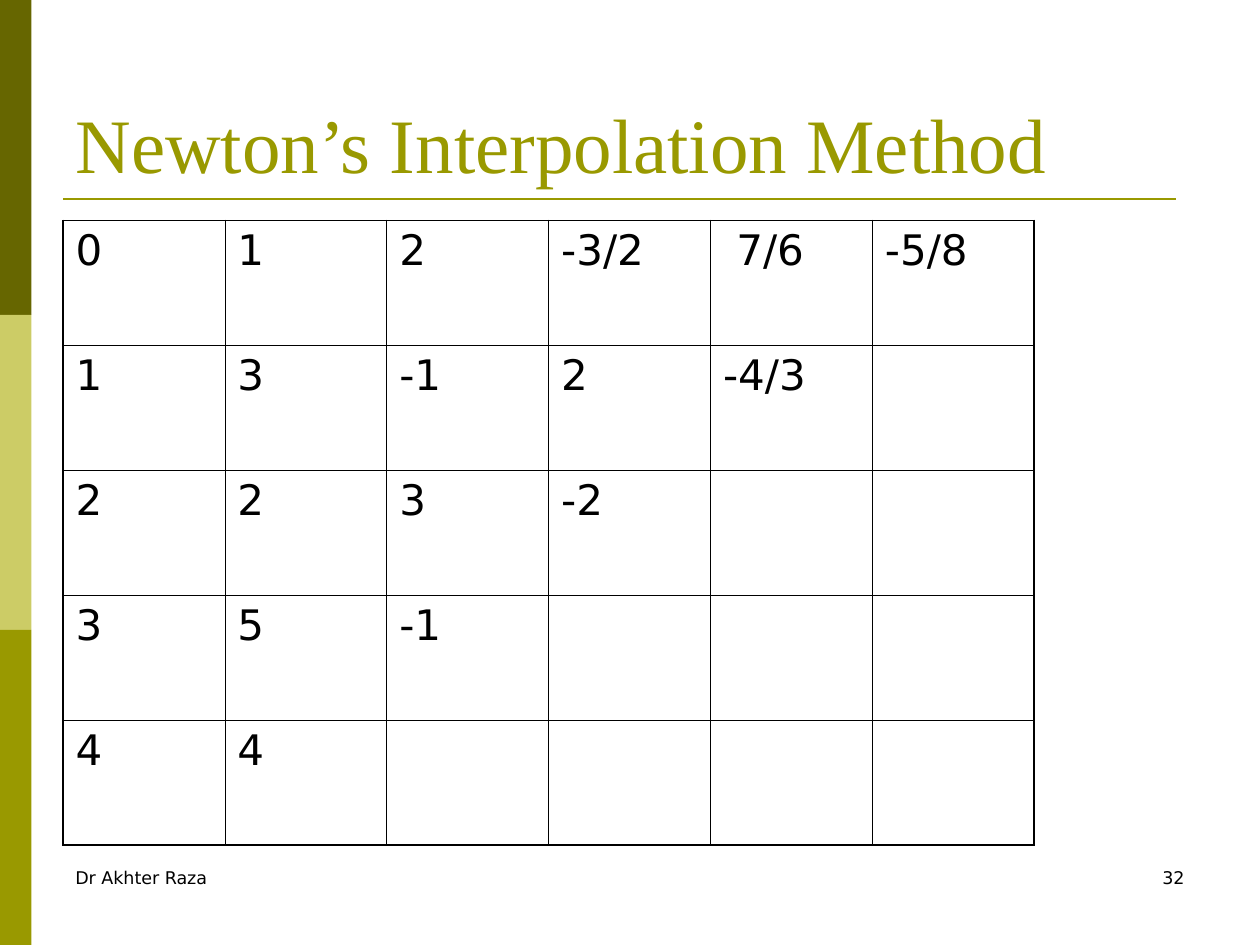
from lxml import etree
from pptx import Presentation
from pptx.dml.color import RGBColor
from pptx.enum import shapes, text
from pptx.oxml.ns import qn
from pptx.util import Inches, Pt

BLACK = RGBColor(0x00, 0x00, 0x00)
DARK = RGBColor(0x66, 0x66, 0x00)
PALE = RGBColor(0xCC, 0xCC, 0x66)
OLIVE = RGBColor(0x99, 0x99, 0x00)

SANS = "DejaVu Sans"
SERIF = "Times New Roman"
THIN, THICK = 0.45, 1.08

ROWS = [
    ["0", "1", "2", "-3/2", " 7/6", "-5/8"],
    ["1", "3", "-1", "2", "-4/3"],
    ["2", "2", "3", "-2"],
    ["3", "5", "-1"],
    ["4", "4"],
]
COLS = 6


def put_text(frame, words, size=10, font=SANS, color=BLACK,
             align=text.PP_ALIGN.LEFT, before=0):
    para = frame.paragraphs[0]
    para.alignment = align
    para.space_before = Pt(before)
    run = para.add_run()
    run.text = words
    run.font.size = Pt(size)
    run.font.name = font
    run.font.color.rgb = color


def add_title(slide, words):
    title = slide.shapes.title
    title.left, title.top = Inches(0.5), Inches(0.3)
    title.width, title.height = Inches(9), Inches(1.25)
    frame = title.text_frame
    frame.auto_size = text.MSO_AUTO_SIZE.NONE
    frame.vertical_anchor = text.MSO_ANCHOR.BOTTOM
    put_text(frame, words, size=44, font=SERIF, color=OLIVE)


def add_band(slide, top, color):
    band = slide.shapes.add_shape(shapes.MSO_SHAPE.RECTANGLE, 0, Inches(top),
                                  Inches(0.25), Inches(2.5))
    band.shadow.inherit = False
    band.fill.solid()
    band.fill.fore_color.rgb = color
    band.line.fill.background()


def add_rule(slide):
    y = Inches(1.58)
    rule = slide.shapes.add_connector(shapes.MSO_CONNECTOR.STRAIGHT,
                                      Inches(0.5), y, Inches(9.33), y)
    rule.line.color.rgb = OLIVE
    rule.line.width = Pt(1.5)
    etree.SubElement(rule._element.spPr, qn("a:effectLst"))


def add_foot(slide, left, words, align):
    box = slide.shapes.add_textbox(Inches(left), Inches(6.83),
                                   Inches(2.33), Inches(0.5))
    box.text_frame.word_wrap = True
    put_text(box.text_frame, words, align=align)


def set_edge(cell, side, width):
    line = etree.SubElement(cell._tc.get_or_add_tcPr(), qn(f"a:ln{side}"),
                            w=str(Pt(width)))
    fill = etree.SubElement(line, qn("a:solidFill"))
    etree.SubElement(fill, qn("a:srgbClr"), val=str(BLACK))


def set_edges(cell, row, col):
    """Thicken the outer frame and the steps below the last differences."""
    last = COLS - 1
    inner = col < last
    heavy = {
        "L": col == 0,
        "R": col == last,
        "T": row == 0 or (inner and row + col == COLS),
        "B": row == len(ROWS) - 1 or (inner and row + col == last),
    }
    for side, thick in heavy.items():
        set_edge(cell, side, THICK if thick else THIN)


def add_grid(slide):
    table = slide.shapes.add_table(len(ROWS), COLS, Inches(0.5), Inches(1.75),
                                   Inches(7.71), Inches(4.96)).table
    table.first_row = table.horz_banding = False
    for line in table.rows:
        line.height = Inches(4.96) // len(ROWS)
    for r, row in enumerate(ROWS):
        for c in range(COLS):
            cell = table.cell(r, c)
            set_edges(cell, r, c)
            cell.fill.background()
            if c < len(row):
                put_text(cell.text_frame, row[c], size=24, before=6)


def main():
    deck = Presentation()
    deck.slide_width, deck.slide_height = Inches(10), Inches(7.5)
    slide = deck.slides.add_slide(deck.slide_layouts[5])
    for i, color in enumerate([DARK, PALE, OLIVE]):
        add_band(slide, 2.5 * i, color)
    add_rule(slide)
    add_foot(slide, 0.5, "Dr Akhter Raza", text.PP_ALIGN.LEFT)
    add_foot(slide, 7.17, "32", text.PP_ALIGN.RIGHT)
    add_title(slide, "Newton’s Interpolation Method")
    add_grid(slide)
    deck.save("out.pptx")


if __name__ == "__main__":
    main()
